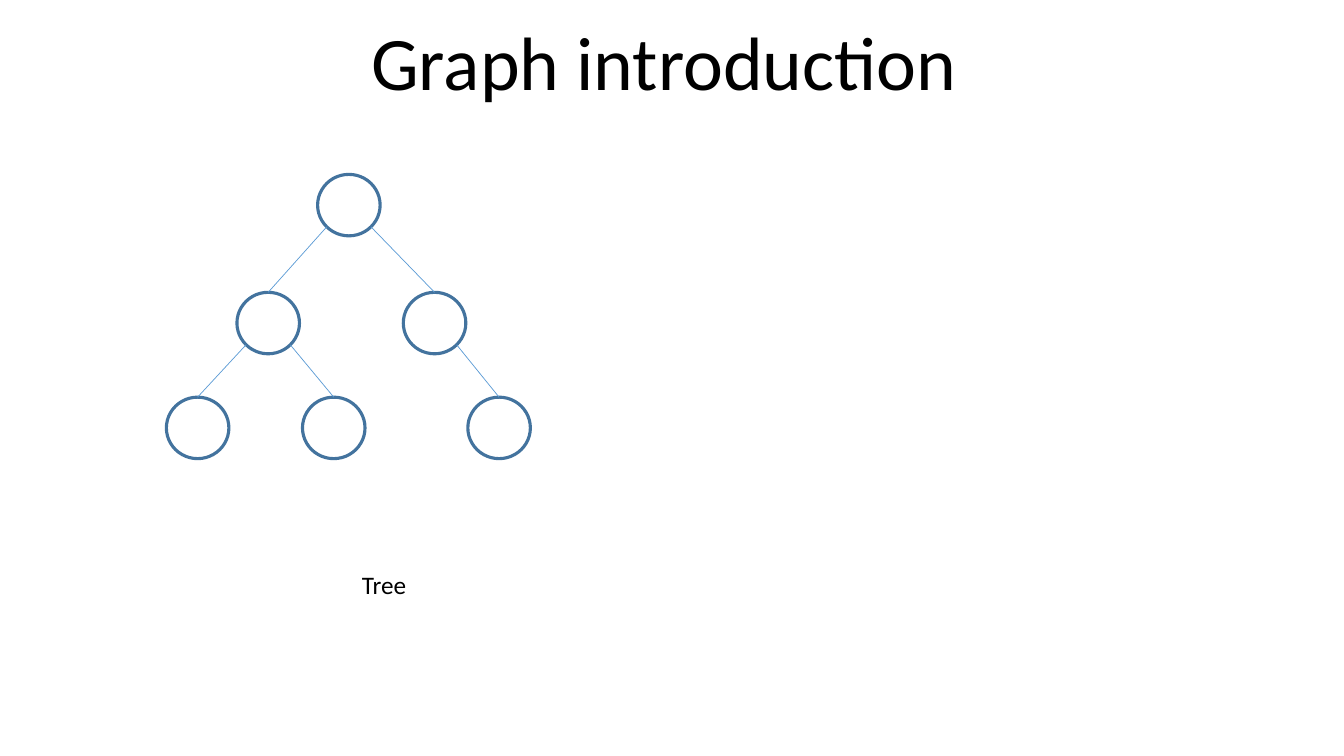
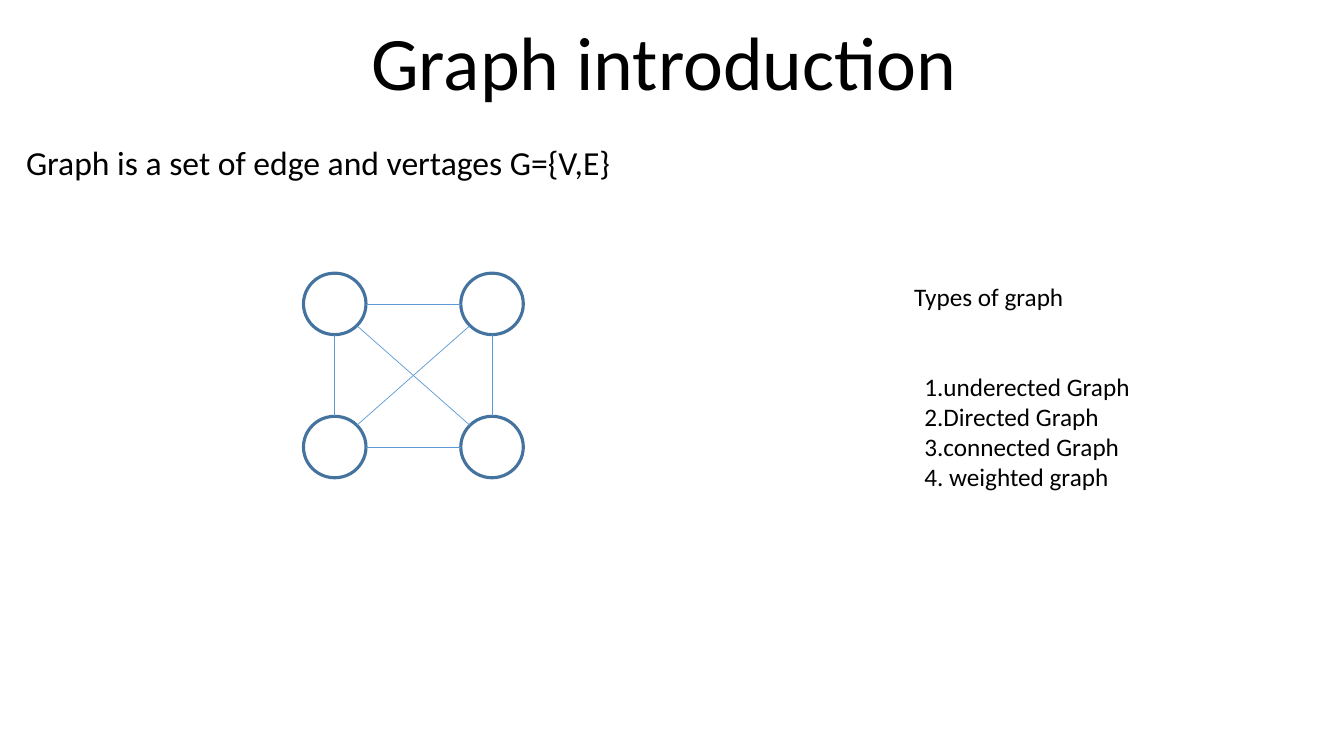
"""Build two slides that introduce trees and graphs."""
from math import cos, radians, sin

from pptx import Presentation
from pptx.dml.color import RGBColor
from pptx.enum.shapes import MSO_CONNECTOR as Connector, MSO_SHAPE as Shape
from pptx.enum.text import MSO_ANCHOR as Anchor, PP_ALIGN as Align
from pptx.oxml.ns import qn
from pptx.util import Inches, Pt

COLORS = {"paper": "FFFFFF", "ink": "000000", "ring": "43739E", "edge": "5B9BD5"}
FONT = "Calibri"
NODE_W, NODE_H = 0.62, 0.61
ANGLES = {"top": -90, "right": 0, "bottom": 90, "left": 180,
          "lower right": 45, "lower left": 135,
          "upper left": 225, "upper right": -45}

TITLE = {"lines": ["Graph introduction "], "at": (1.67, 0.27, 10, 0.84),
         "size": 54, "anchor": Anchor.BOTTOM, "spacing": 0.9}

SLIDES = [
    {
        "nodes": {"root": (3.15, 1.73), "left": (2.35, 2.9), "right": (4, 2.9),
                  "left leaf": (1.65, 3.94), "middle leaf": (3, 3.94),
                  "right leaf": (4.64, 3.94)},
        "edges": [("root", "lower left", "left", "top"),
                  ("root", "lower right", "right", "top"),
                  ("left", "lower left", "left leaf", "top"),
                  ("left", "lower right", "middle leaf", "top"),
                  ("right", "lower right", "right leaf", "top")],
        "texts": [{"lines": ["Tree"], "at": (1.96, 5.23, 3.7, 1.14),
                   "shape": Shape.RECTANGLE}],
    },
    {
        "nodes": {"A": (3.01, 2.71), "B": (4.57, 2.71),
                  "C": (3.01, 4.13), "D": (4.57, 4.13)},
        "edges": [("A", "right", "B", "left"), ("A", "bottom", "C", "top"),
                  ("C", "right", "D", "left"), ("B", "bottom", "D", "top"),
                  ("A", "lower right", "D", "upper left"),
                  ("C", "upper right", "B", "lower left")],
        "texts": [
            {"lines": ["Graph is a set of edge and vertages G={V,E}"],
             "at": (0.16, 1.4, 13.03, 0.5), "size": 24, "align": Align.LEFT,
             "anchor": Anchor.TOP, "spacing": 0.9},
            {"lines": ["Types of graph "], "at": (7.68, 2.57, 4.31, 0.75),
             "shape": Shape.ROUNDED_RECTANGLE},
            {"lines": ["1.underected Graph", "2.Directed Graph",
                       "3.connected Graph", "4. weighted graph"],
             "at": (8.99, 3.47, 3, 1.62), "align": Align.LEFT,
             "shape": Shape.ROUNDED_RECTANGLE},
        ],
    },
]


def color(name):
    return RGBColor.from_string(COLORS[name])


def add_shape(page, kind, at, line_color, line_width):
    shape = page.shapes.add_shape(kind, *map(Inches, at))
    shape.shadow.inherit = False
    shape.fill.solid()
    shape.fill.fore_color.rgb = color("paper")
    shape.line.color.rgb = color(line_color)
    shape.line.width = Pt(line_width)
    return shape


def add_text(page, lines, at, size=18, align=Align.CENTER,
             anchor=Anchor.MIDDLE, spacing=1.0, shape=None):
    if shape is None:
        box = page.shapes.add_textbox(*map(Inches, at))
    else:
        box = add_shape(page, shape, at, "paper", 1)
    frame = box.text_frame
    frame.word_wrap = True
    frame.vertical_anchor = anchor
    frame.text = "\n".join(lines)
    for para in frame.paragraphs:
        para.alignment = align
        para.line_spacing = spacing
        for span in para.runs:
            for key, value in {"name": FONT, "size": Pt(size)}.items():
                setattr(span.font, key, value)
            span.font.color.rgb = color("ink")


def rim_point(corner, side):
    left, top = corner
    angle = radians(ANGLES[side])
    return (Inches(left + NODE_W / 2 * (1 + cos(angle))),
            Inches(top + NODE_H / 2 * (1 + sin(angle))))


def add_edge(page, start, end):
    edge = page.shapes.add_connector(Connector.STRAIGHT, *start, *end)
    edge.line.color.rgb = color("edge")
    edge.line.width = Pt(0.5)
    properties = edge._element.spPr
    properties.append(properties.makeelement(qn("a:effectLst"), {}))


def main():
    deck = Presentation()
    deck.slide_width, deck.slide_height = Inches(13.33), Inches(7.5)
    for content in SLIDES:
        page = deck.slides.add_slide(deck.slide_layouts[6])
        nodes = content["nodes"]
        for text in [TITLE, *content["texts"]]:
            add_text(page, **text)
        for corner in nodes.values():
            add_shape(page, Shape.OVAL, (*corner, NODE_W, NODE_H), "ring", 2.25)
        for parent, exit_side, child, entry_side in content["edges"]:
            add_edge(page, rim_point(nodes[parent], exit_side),
                     rim_point(nodes[child], entry_side))
    deck.save("out.pptx")


if __name__ == "__main__":
    main()
